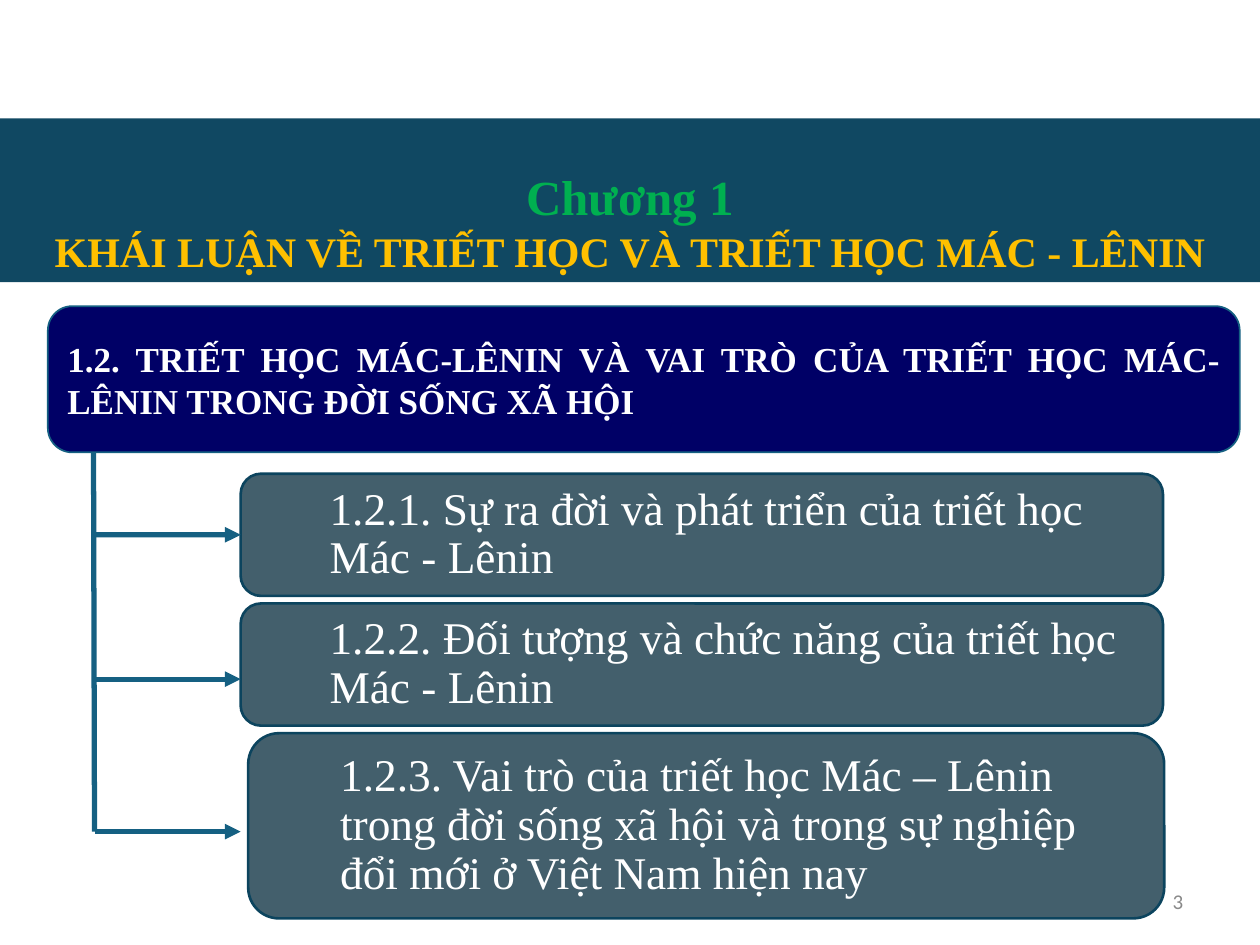
from dataclasses import dataclass
from typing import Optional

from lxml.etree import SubElement
from pptx import Presentation
from pptx.dml.color import RGBColor
from pptx.enum.shapes import MSO_CONNECTOR, MSO_SHAPE
from pptx.enum.text import MSO_ANCHOR, PP_ALIGN
from pptx.oxml.ns import qn
from pptx.util import Inches, Pt

WIDTH, HEIGHT = Inches(10), Inches(7.5)
BAND = RGBColor(0x10, 0x48, 0x62)
NAVY = RGBColor(0x00, 0x00, 0x66)
SLATE = RGBColor(0x0B, 0x30, 0x41)
EDGE = RGBColor(0x0C, 0x44, 0x5E)
TEAL = RGBColor(0x15, 0x60, 0x82)
GREEN = RGBColor(0x00, 0xB0, 0x50)
GOLD = RGBColor(0xFF, 0xC0, 0x00)
WHITE = RGBColor(0xFF, 0xFF, 0xFF)
GREY = RGBColor(0x89, 0x89, 0x89)
SERIF = "Times New Roman"
FIRST_TOP, PITCH = 50.13, 13.73
TRUNK_TOP, TRUNK_BOTTOM = 35.2, 88


@dataclass(frozen=True)
class Area:
    """A rectangle in percent of the slide's width and height."""
    left: float
    top: float
    width: float
    height: float

    def lengths(self) -> tuple[int, int, int, int]:
        return (across(self.left), down(self.top),
                across(self.width), down(self.height))


@dataclass(frozen=True)
class Section:
    """A section box with the height at which its arrow arrives."""
    text: str
    left: float
    width: float
    height: float
    arrow: float
    joined: bool = False


SECTIONS = (
    Section("1.2.1. Sự ra đời và phát triển của triết học Mác - Lênin",
            19.1, 73.2, 12.93, 56.6, True),
    Section("1.2.2. Đối tượng và chức năng của triết học Mác - Lênin",
            19.1, 73.2, 12.93, 71.87),
    Section("1.2.3. Vai trò của triết học Mác – Lênin trong đời sống xã hội "
            "và trong sự nghiệp đổi mới ở Việt Nam hiện nay",
            19.7, 72.7, 19.6, 88),
)


def across(share: float) -> int:
    """Turn a percentage of the slide's width into a length."""
    return round(WIDTH * share / 100)


def down(share: float) -> int:
    """Turn a percentage of the slide's height into a length."""
    return round(HEIGHT * share / 100)


def add_box(page, kind: MSO_SHAPE, area: Area, fill: RGBColor,
            edge: Optional[RGBColor] = None, weight: float = 1):
    """Add a filled shape, outlined if an edge colour is given."""
    box = page.shapes.add_shape(kind, *area.lengths())
    box.shadow.inherit = False
    box.fill.solid()
    box.fill.fore_color.rgb = fill
    if edge is None:
        box.line.fill.background()
    else:
        box.line.color.rgb = edge
        box.line.width = Pt(weight)
    return box


def write(box, text: str, size: float, color: RGBColor, align: PP_ALIGN,
          bold: bool = False, font: str = SERIF):
    """Write one paragraph into a box and return it."""
    frame = box.text_frame
    frame.word_wrap = True
    frame.vertical_anchor = MSO_ANCHOR.MIDDLE
    para = frame.paragraphs[0]
    para.text = text
    para.alignment = align
    for span in para.runs:
        span.font.name = font
        span.font.size = Pt(size)
        span.font.bold = bold
        span.font.color.rgb = color
    return para


def add_line(page, start: tuple[float, float], end: tuple[float, float],
             arrow: bool = False):
    """Add a straight connector between two points given in percent."""
    line = page.shapes.add_connector(
        MSO_CONNECTOR.STRAIGHT, across(start[0]), down(start[1]),
        across(end[0]), down(end[1]))
    line.line.color.rgb = TEAL
    line.line.width = Pt(3)
    if arrow:
        SubElement(line.line._get_or_add_ln(), qn("a:tailEnd"), type="triangle")
    SubElement(line._element.spPr, qn("a:effectLst"))
    return line


def add_title(page) -> None:
    """Add the chapter band with its two-line title."""
    band = add_box(page, MSO_SHAPE.RECTANGLE, Area(0, 12.53, 100, 17.33), BAND)
    para = write(band, "Chương 1\nKHÁI LUẬN VỀ TRIẾT HỌC VÀ TRIẾT HỌC MÁC - LÊNIN",
                 24, GOLD, PP_ALIGN.CENTER, True)
    para.space_before = Pt(12)
    para.runs[0].font.size = Pt(28)
    para.runs[0].font.color.rgb = GREEN
    band.text_frame.vertical_anchor = MSO_ANCHOR.BOTTOM


def add_section(page, section: Section, top: float):
    """Add one translucent section box with indented text."""
    box = add_box(page, MSO_SHAPE.ROUNDED_RECTANGLE,
                  Area(section.left, top, section.width, section.height),
                  SLATE, EDGE, 1.5)
    tint = box._element.spPr.find(qn("a:solidFill"))[0]
    SubElement(tint, qn("a:alpha"), val="77000")
    para = write(box, section.text, 25.9, WHITE, PP_ALIGN.LEFT)
    para.line_spacing = 0.9
    properties = para._p.get_or_add_pPr()
    properties.set("marL", str(Inches(0.56)))
    properties.set("indent", "0")
    return box


def add_tree(page) -> None:
    """Add the section boxes, the trunk and an arrow to each section."""
    boxes = [add_section(page, section, FIRST_TOP + row * PITCH)
             for row, section in enumerate(SECTIONS)]
    add_line(page, (7.4, TRUNK_TOP), (7.5, TRUNK_BOTTOM))
    for section, box in zip(SECTIONS, boxes):
        arrow = add_line(page, (7.5, section.arrow), (19.1, section.arrow), True)
        if section.joined:
            arrow.end_connect(box, 1)


def add_heading(page) -> None:
    """Add the heading box from which the trunk descends."""
    box = add_box(page, MSO_SHAPE.ROUNDED_RECTANGLE,
                  Area(3.8, 32.4, 94.6, 15.47), NAVY, TEAL)
    write(box, "1.2. TRIẾT HỌC MÁC-LÊNIN VÀ VAI TRÒ CỦA TRIẾT HỌC MÁC-LÊNIN "
               "TRONG ĐỜI SỐNG XÃ HỘI", 20, WHITE, PP_ALIGN.JUSTIFY, True)


def add_page_number(page) -> None:
    """Add the page number at the lower right."""
    box = page.shapes.add_textbox(*Area(72.4, 92.67, 22.5, 5.33).lengths())
    write(box, "3", 12, GREY, PP_ALIGN.RIGHT, font="Calibri")


def main() -> None:
    """Build the slide and save it."""
    deck = Presentation()
    deck.slide_width, deck.slide_height = WIDTH, HEIGHT
    page = deck.slides.add_slide(deck.slide_layouts[6])
    add_title(page)
    add_tree(page)
    add_heading(page)
    add_page_number(page)
    deck.save("out.pptx")


if __name__ == "__main__":
    main()
